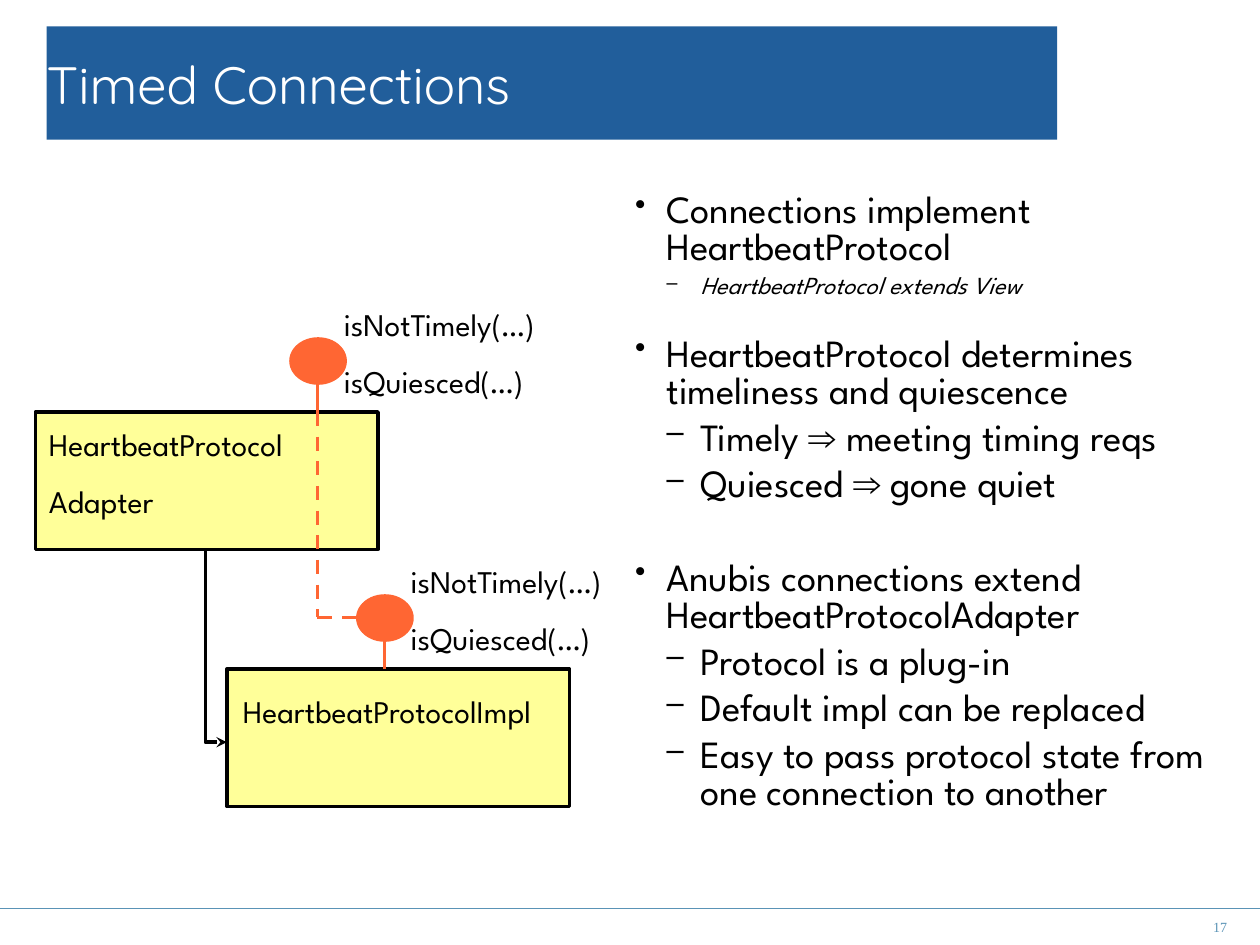
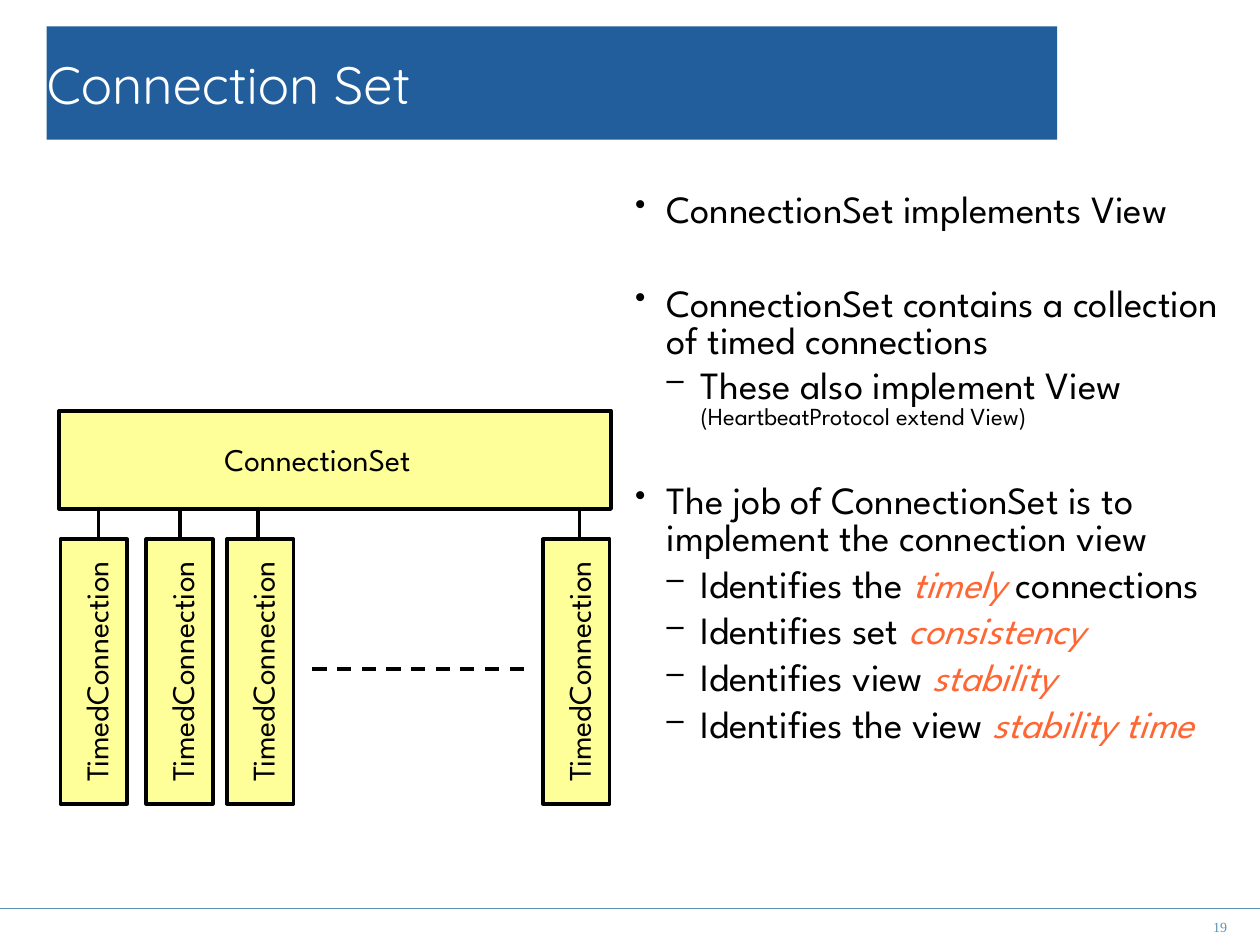
from lxml import etree
from pptx import Presentation
from pptx.dml.color import RGBColor
from pptx.enum.dml import MSO_LINE
from pptx.enum.shapes import MSO_CONNECTOR, MSO_SHAPE
from pptx.enum.text import MSO_ANCHOR, PP_ALIGN
from pptx.oxml.ns import qn
from pptx.util import Inches, Pt

STRAIGHT, ELBOW = MSO_CONNECTOR.STRAIGHT, MSO_CONNECTOR.ELBOW
RECTANGLE, OVAL = MSO_SHAPE.RECTANGLE, MSO_SHAPE.OVAL
DASH = MSO_LINE.DASH
TOP, MIDDLE = MSO_ANCHOR.TOP, MSO_ANCHOR.MIDDLE
LEFT, CENTER, RIGHT = PP_ALIGN.LEFT, PP_ALIGN.CENTER, PP_ALIGN.RIGHT

BLACK = RGBColor(0x00, 0x00, 0x00)
WHITE = RGBColor(0xFF, 0xFF, 0xFF)
BAND_BLUE = RGBColor(0x21, 0x5E, 0x9B)
FOOTER_BLUE = RGBColor(0x5A, 0x93, 0xB6)
YELLOW = RGBColor(0xFF, 0xFF, 0x99)
ORANGE = RGBColor(0xFF, 0x66, 0x33)

TITLE = {"name": "Quicksand", "size": Pt(30), "color": WHITE}
FOOTER = {"name": "Times New Roman", "size": Pt(8), "color": FOOTER_BLUE}
BODY = {"name": "League Spartan", "size": Pt(22), "color": BLACK}
LABEL = BODY | {"size": Pt(18)}
SMALL = {"size": Pt(14)}
ASIDE = SMALL | {"italic": True}
EMPHASIS = {"color": ORANGE, "italic": True}
SYMBOL = {"name": "Arial"}

BULLETS = (("•", 0.25, 0.25), ("–", 0.52, 0.27))
NORMAL, TIGHT = (2.8, 2.8), (1.8, 1.8)
SMALL_BREAK, BREAK = (20, 2.8), (29.5, 2.8)


class Deck:
    """Builds slides in one shared style, one element per method call."""

    def __init__(self):
        self.presentation = Presentation()
        self.presentation.slide_width = Inches(10)
        self.presentation.slide_height = Inches(7.5)
        self.slide = None

    def new_slide(self, title, number):
        layout = self.presentation.slide_layouts[6]
        self.slide = self.presentation.slides.add_slide(layout)
        self.line((0, 7.21), (10, 7.21), FOOTER_BLUE, width=0.75)
        band = self.shape(RECTANGLE, (0.37, 0.21, 8.02, 0.9), BAND_BLUE)
        self.fill_text(band.text_frame, [title], TITLE, anchor=MIDDLE)
        self.text((9.3, 7.28, 0.44, 0.15), [number], FOOTER, align=RIGHT, anchor=MIDDLE)

    def shape(self, preset, box, fill, outline=None):
        shape = self.slide.shapes.add_shape(preset, *map(Inches, box))
        shape.shadow.inherit = False
        shape.fill.solid()
        shape.fill.fore_color.rgb = fill
        if outline is None:
            shape.line.fill.background()
        else:
            shape.line.color.rgb = outline
            shape.line.width = Pt(2)
        return shape

    def box(self, box):
        self.shape(RECTANGLE, box, YELLOW, BLACK)

    def line(self, start, end, color=BLACK, width=2, dash=None, kind=STRAIGHT):
        connector = self.slide.shapes.add_connector(kind, *map(Inches, start + end))
        connector.line.color.rgb = color
        connector.line.width = Pt(width)
        connector.line.dash_style = dash
        etree.SubElement(connector._element.spPr, qn("a:effectLst"))
        return connector

    def elbow_arrow(self, start, end):
        connector = self.line(start, end, kind=ELBOW)
        properties = connector._element.spPr
        guides = properties.find(qn("a:prstGeom")).find(qn("a:avLst"))
        etree.SubElement(guides, qn("a:gd"), name="adj1", fmla="val 0")
        etree.SubElement(properties.find(qn("a:ln")), qn("a:tailEnd"), type="stealth")

    def add_run(self, paragraph, text, style):
        run = paragraph.add_run()
        run.text = text
        for key, value in style.items():
            if key == "color":
                run.font.color.rgb = value
            else:
                setattr(run.font, key, value)

    def set_frame(self, frame, insets, anchor):
        left, top, right, bottom = map(Inches, insets)
        settings = {
            "word_wrap": True, "vertical_anchor": anchor,
            "margin_left": left, "margin_top": top,
            "margin_right": right, "margin_bottom": bottom,
        }
        for key, value in settings.items():
            setattr(frame, key, value)

    def fill_text(self, frame, lines, style, align=LEFT, anchor=TOP, inset=0, gap=0):
        self.set_frame(frame, [inset] * 4, anchor)
        for index, text in enumerate(lines):
            paragraph = frame.add_paragraph() if index else frame.paragraphs[0]
            paragraph.alignment = align
            paragraph.space_before = Pt(gap if index else 0)
            self.add_run(paragraph, text, style)

    def text(self, box, lines, style, rotation=0, **layout):
        textbox = self.slide.shapes.add_textbox(*map(Inches, box))
        textbox.rotation = rotation
        self.fill_text(textbox.text_frame, lines, style, **layout)

    def label(self, box, *lines, align=LEFT, rotation=0):
        self.text(box, lines, LABEL, rotation, align=align, inset=0.1, gap=11.2)

    def bullets(self, width, items):
        textbox = self.slide.shapes.add_textbox(*map(Inches, (5.04, 1.39, width, 5.76)))
        frame = textbox.text_frame
        self.set_frame(frame, (0, 0.15, 0, 0), TOP)
        for index, (level, (before, after), *runs) in enumerate(items):
            paragraph = frame.add_paragraph() if index else frame.paragraphs[0]
            self.add_bullet(paragraph, level)
            settings = {
                "level": level, "line_spacing": 0.8,
                "space_before": Pt(before if index else 0), "space_after": Pt(after),
            }
            for key, value in settings.items():
                setattr(paragraph, key, value)
            for run in runs:
                text, style = (run, {}) if isinstance(run, str) else run
                self.add_run(paragraph, text, BODY | style)

    def add_bullet(self, paragraph, level):
        mark, margin, hanging = BULLETS[level]
        properties = paragraph._p.get_or_add_pPr()
        properties.set("marL", str(Inches(margin)))
        properties.set("indent", str(-Inches(hanging)))
        color = etree.SubElement(properties, qn("a:buClr"))
        etree.SubElement(color, qn("a:srgbClr"), val=str(BLACK))
        etree.SubElement(properties, qn("a:buSzPct"), val="80000")
        etree.SubElement(properties, qn("a:buChar"), char=mark)

    def interface(self, left, top):
        self.shape(OVAL, (left, top, 0.43, 0.35), ORANGE, ORANGE)
        stem = left + 0.21
        self.line((stem, top + 0.35), (stem, top + 0.58), ORANGE)
        self.label((left + 0.32, top - 0.37, 1.89, 1.26), "isNotTimely(…)", "isQuiesced(…)")


def timed_connections(deck):
    deck.new_slide("Timed Connections", "17")
    deck.box((1.8, 5.31, 2.72, 1.09))
    deck.interface(2.84, 4.73)
    deck.label((1.83, 5.39, 2.69, 0.8), "HeartbeatProtocolImpl")
    deck.bullets(4.83, [
        (0, NORMAL, "Connections implement HeartbeatProtocol"),
        (1, TIGHT, ("HeartbeatProtocol extends View", ASIDE)),
        (0, SMALL_BREAK, "HeartbeatProtocol determines timeliness and quiescence"),
        (1, NORMAL, "Timely ", ("⇒", SYMBOL), " meeting timing reqs"),
        (1, NORMAL, "Quiesced ", ("⇒", SYMBOL), " gone quiet"),
        (0, BREAK, "Anubis connections extend HeartbeatProtocolAdapter"),
        (1, NORMAL, "Protocol is a plug-in"),
        (1, NORMAL, "Default impl can be replaced"),
        (1, NORMAL, "Easy to pass protocol state from one connection to another"),
    ])
    deck.box((0.28, 3.27, 2.72, 1.09))
    deck.label((0.29, 3.27, 2.69, 0.96), "HeartbeatProtocol", "Adapter")
    deck.elbow_arrow((1.63, 4.37), (1.8, 5.89))
    deck.interface(2.31, 2.69)
    deck.line((2.52, 3.27), (2.52, 4.9), ORANGE, dash=DASH)
    deck.line((2.52, 4.9), (2.84, 4.9), ORANGE, dash=DASH)


def connection_set(deck):
    deck.new_slide("Connection Set", "19")
    deck.box((0.47, 3.26, 4.38, 0.78))
    deck.bullets(4.77, [
        (0, NORMAL, "ConnectionSet implements View"),
        (0, BREAK, "ConnectionSet contains a collection of timed connections"),
        (1, TIGHT, "These also implement View ", ("(HeartbeatProtocol extend View)", SMALL)),
        (0, BREAK, "The job of ConnectionSet is to implement the connection view"),
        (1, NORMAL, "Identifies the ", ("timely", EMPHASIS), " connections"),
        (1, NORMAL, "Identifies set ", ("consistency", EMPHASIS)),
        (1, NORMAL, "Identifies view ", ("stability", EMPHASIS)),
        (1, NORMAL, "Identifies the view ", ("stability time", EMPHASIS)),
    ])
    deck.label((1.43, 3.39, 2.18, 0.5), "ConnectionSet", align=CENTER)
    for left, link in ((0.48, 0.78), (1.16, 1.43), (1.8, 2.05), (4.31, 4.6)):
        deck.box((left, 4.28, 0.53, 2.1))
        deck.label((left - 0.62, 4.93, 2.1, 0.8), "TimedConnection", align=CENTER, rotation=270)
        deck.line((link, 4.28), (link, 4.03))
    deck.line((2.48, 5.31), (4.18, 5.31), dash=DASH)


def main():
    deck = Deck()
    timed_connections(deck)
    connection_set(deck)
    deck.presentation.save("out.pptx")


if __name__ == "__main__":
    main()
